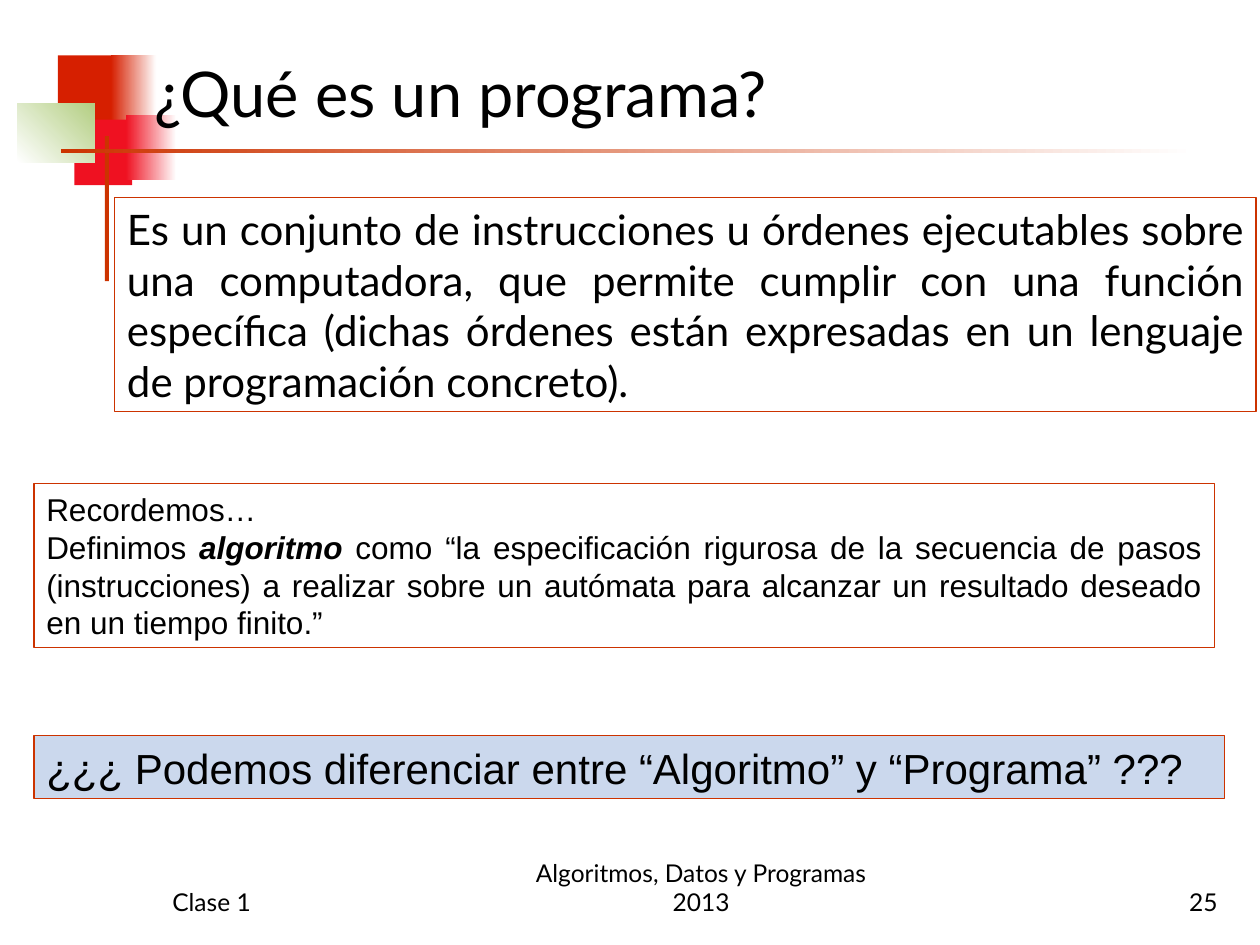
import pptx
import pptx.util
import pptx.dml.color
import pptx.enum.shapes
import pptx.enum.text

Pt = pptx.util.Pt
Align = pptx.enum.text.PP_ALIGN
Anchor = pptx.enum.text.MSO_ANCHOR


def color(value):
    return pptx.dml.color.RGBColor.from_string(value)


def add_box(page, place, fills=(), angle=0, line=None, paras=(), align=Align.LEFT,
            anchor=Anchor.TOP, font="Lato", size=24):
    left, top, width, height = [Pt(value) for value in place]
    if fills or line:
        box = page.shapes.add_shape(pptx.enum.shapes.MSO_SHAPE.RECTANGLE, left, top, width, height)
        box.shadow.inherit = False
    else:
        box = page.shapes.add_textbox(left, top, width, height)
    if len(fills) == 2:
        box.fill.gradient()
        box.fill.gradient_angle = angle
        for stop, value in zip(box.fill.gradient_stops, fills):
            stop.color.rgb = color(value)
    elif fills:
        box.fill.solid()
        box.fill.fore_color.rgb = color(fills[0])
    else:
        box.fill.background()
    if line:
        box.line.color.rgb = color(line)
        box.line.width = Pt(0.75)
    else:
        box.line.fill.background()
    frame = box.text_frame
    frame.word_wrap = True
    frame.vertical_anchor = anchor
    for index, spans in enumerate(paras):
        para = frame.add_paragraph() if index else frame.paragraphs[0]
        para.alignment = align
        for text, extra in spans:
            span = para.add_run()
            span.text = text
            for name, value in {"name": font, "size": Pt(size), **extra}.items():
                setattr(span.font, name, value)
            span.font.color.rgb = color("000000")


deck = pptx.Presentation()
deck.slide_width, deck.slide_height = Pt(720), Pt(540)
page = deck.slides.add_slide(deck.slide_layouts[6])

decorations = [
    ((33.1, 31.7, 34.6, 37.4), ["D61F00"], 0),
    ((63.4, 31.7, 25.9, 37.4), ["D61F00", "FFFFFF"], 0),
    ((42.5, 68.4, 33.1, 37.4), ["EF1121"], 0),
    ((72, 65.5, 28.8, 37.4), ["EF1121", "FFFFFF"], 0),
    ((10, 59, 44, 33.8), ["FFFFFF", "B3CE82"], 45),
    ((60, 77.8, 2.2, 82.8), ["CC3300"], 0),
    ((34.6, 85, 648, 2.2), ["CC3300", "FFFFFF"], 0),
]
for place, fills, angle in decorations:
    add_box(page, place, fills, angle)

footers = [
    ("Clase 1", 91.4, 149.8, Align.LEFT),
    ("Algoritmos, Datos y Programas 2013", 286.6, 228.2, Align.CENTER),
    ("25", 553, 149.8, Align.RIGHT),
]
for text, left, width, align in footers:
    add_box(page, (left, 491.2, width, 36), paras=[[(text, {})]],
            align=align, anchor=Anchor.BOTTOM, size=14)

add_box(page, (81.4, 20.2, 635.8, 57.6), paras=[[("¿Qué es un programa?", {})]],
        anchor=Anchor.BOTTOM, size=36)

definition = [[(
    "Es un conjunto de instrucciones u órdenes ejecutables sobre una computadora, "
    "que permite cumplir con una función específica (dichas órdenes están expresadas "
    "en un lenguaje de programación concreto).", {})]]
question = [[("¿¿¿ Podemos diferenciar entre “Algoritmo” y “Programa” ???", {})]]
reminder = [
    [("Recordemos…", {})],
    [("Definimos ", {}),
     ("algoritmo ", {"bold": True, "italic": True}),
     ("como “la especificación rigurosa de la secuencia de pasos (instrucciones) a "
      "realizar sobre un autómata para alcanzar un resultado deseado en un tiempo "
      "finito.”", {})],
]
panels = [
    ((65.5, 113, 652.3, 122.4), [], definition, "Lato", 24),
    ((19.4, 420.5, 680.4, 36), ["CBD8ED"], question, "Arial", 24),
    ((19.4, 276.5, 674.6, 93.6), [], reminder, "Arial", 18),
]
for place, fills, paras, font, size in panels:
    add_box(page, place, fills, line="CC3300", paras=paras,
            align=Align.JUSTIFY, font=font, size=size)

deck.save("out.pptx")
